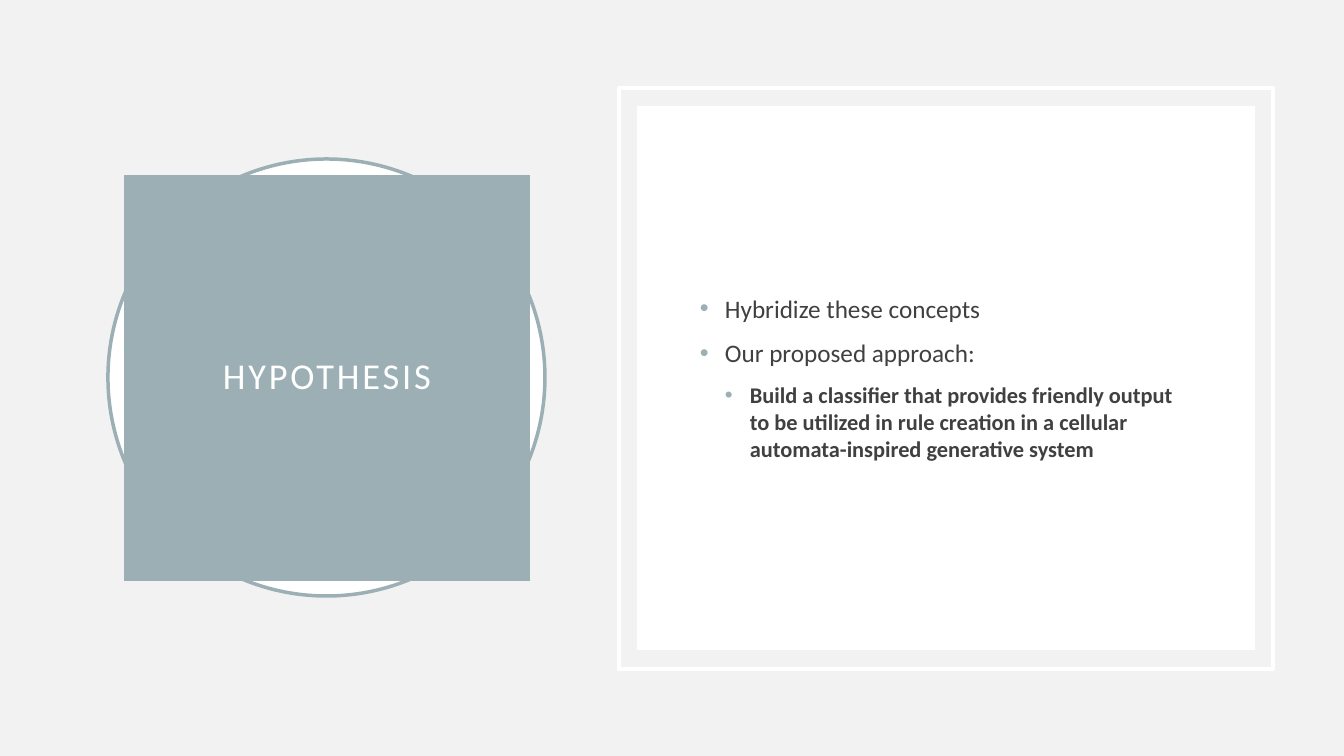
from lxml import etree
from pptx import Presentation, util as u
from pptx.dml.color import RGBColor
from pptx.enum import shapes, text
from pptx.oxml.ns import qn

TITLE = "HYPOTHESIS"
BULLETS = [
    (0, "Hybridize these concepts"),
    (0, "Our proposed approach:"),
    (1, "Build a classifier that provides friendly output to be utilized in rule "
        "creation in a cellular automata-inspired generative system"),
]
LEVELS = [{"size": 18, "bold": False}, {"size": 16, "bold": True}]

FONT = "Calibri"
GREY, WHITE, ACCENT, INK = "F2F2F2", "FFFFFF", "9BAFB5", "404040"
SLIDE_SIZE = (1344, 756)
TITLE_BOX = (124, 175, 406, 406)
BODY_BOX = (690, 159, 513, 437)
INDENT = 25
TITLE_INSET = 20
DECORATIONS = [
    (shapes.MSO_SHAPE.OVAL, (108, 159, 437, 437), WHITE, ACCENT),
    (shapes.MSO_SHAPE.RECTANGLE, (619, 88, 654, 581), None, WHITE),
    (shapes.MSO_SHAPE.RECTANGLE, (637, 106, 618, 544), WHITE, None),
]


def px(length):
    return u.Emu(round(length * 914400 / 100.8))


def rgb(value):
    return RGBColor.from_string(value)


def paint_fill(fill, color):
    if color:
        fill.solid()
        fill.fore_color.rgb = rgb(color)
    else:
        fill.background()


def style_run(run, size, color, bold=False):
    run.font.name = FONT
    run.font.size = u.Pt(size)
    run.font.bold = bold
    run.font.color.rgb = rgb(color)


def add_decoration(slide, kind, box, fill, line):
    shape = slide.shapes.add_shape(kind, *map(px, box))
    shape.shadow.inherit = False
    paint_fill(shape.fill, fill)
    paint_fill(shape.line.fill, line)
    if line:
        shape.line.width = u.Pt(2.5)


def format_title(slide):
    title = slide.shapes.title
    title.left, title.top, title.width, title.height = map(px, TITLE_BOX)
    paint_fill(title.fill, ACCENT)
    frame = title.text_frame
    frame.text = TITLE
    frame.word_wrap = True
    frame.vertical_anchor = text.MSO_ANCHOR.MIDDLE
    frame.margin_left = frame.margin_right = px(TITLE_INSET)
    frame.margin_top = frame.margin_bottom = px(TITLE_INSET)
    paragraph = frame.paragraphs[0]
    paragraph.alignment = text.PP_ALIGN.CENTER
    paragraph.line_spacing = 0.9
    run = paragraph.runs[0]
    style_run(run, 26, WHITE)
    run.font._element.set("spc", "200")
    slide.shapes._spTree.append(title._element)


def add_bullet(paragraph, level):
    properties = paragraph._p.get_or_add_pPr()
    properties.set("marL", str(px(INDENT * (level + 1))))
    properties.set("indent", str(px(-INDENT)))
    color = etree.SubElement(properties, qn("a:buClr"))
    etree.SubElement(color, qn("a:srgbClr"), val=ACCENT)
    etree.SubElement(properties, qn("a:buFont"), typeface="Arial")
    etree.SubElement(properties, qn("a:buChar"), char="•")


def add_body(slide):
    frame = slide.shapes.add_textbox(*map(px, BODY_BOX)).text_frame
    frame.word_wrap = True
    frame.vertical_anchor = text.MSO_ANCHOR.MIDDLE
    frame.text = "\n".join(words for _, words in BULLETS)
    for paragraph, (level, _) in zip(frame.paragraphs, BULLETS):
        paragraph.level = level
        paragraph.space_before = u.Pt(10)
        add_bullet(paragraph, level)
        style_run(paragraph.runs[0], color=INK, **LEVELS[level])


def main():
    presentation = Presentation()
    presentation.slide_width, presentation.slide_height = map(px, SLIDE_SIZE)
    slide = presentation.slides.add_slide(presentation.slide_layouts.get_by_name("Title Only"))
    paint_fill(slide.background.fill, GREY)
    for decoration in DECORATIONS:
        add_decoration(slide, *decoration)
    format_title(slide)
    add_body(slide)
    presentation.save("out.pptx")


if __name__ == "__main__":
    main()
